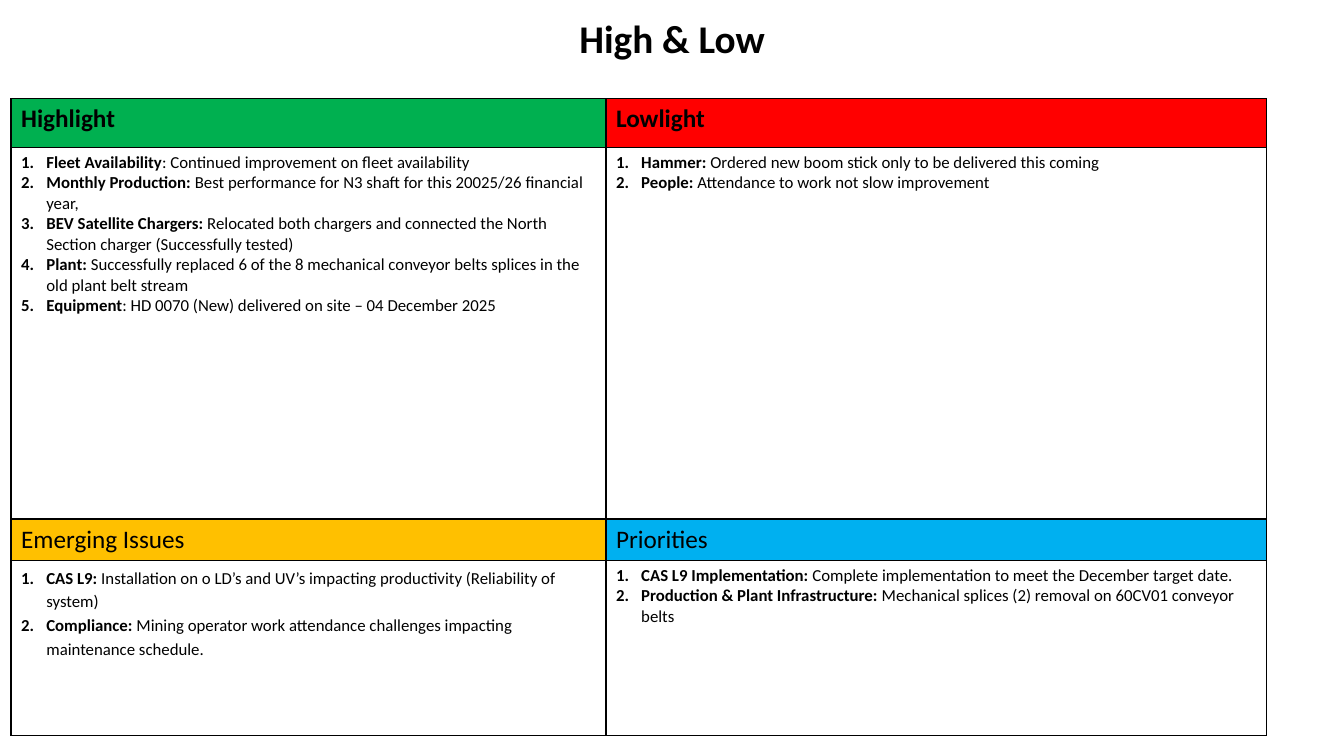
import pptx
import pptx.util
import pptx.dml.color
import pptx.enum.text
import lxml.etree

Inches, Pt = pptx.util.Inches, pptx.util.Pt
COLORS = {
    "text": "000000", "border": "000000", "body": "FFFFFF",
    "highlight": "00B050", "lowlight": "FF0000",
    "emerging": "FFC000", "priorities": "00B0F0",
}
COLUMN_WIDTHS = [5.9, 6.55]
ROW_HEIGHTS = [0.48, 3.69, 0.41, 1.74]

# Heading, heading colour, heading bold, line spacing, list of (label, detail)
QUADRANTS = [
    ("Highlight", "highlight", True, 1.0, [
        ("Fleet Availability", ": Continued improvement on fleet availability"),
        ("Monthly Production: ",
         "Best performance for N3 shaft for this 20025/26 financial year,"),
        ("BEV Satellite Chargers:",
         " Relocated both chargers and connected the North Section charger (Successfully tested)"),
        ("Plant: ",
         "Successfully replaced 6 of the 8 mechanical conveyor belts splices in the old plant belt stream"),
        ("Equipment", ": HD 0070 (New) delivered on site – 04 December 2025"),
    ]),
    ("Lowlight", "lowlight", True, 1.0, [
        ("Hammer: ", "Ordered new boom stick only to be delivered this coming"),
        ("People: ", "Attendance to work not slow improvement"),
    ]),
    ("Emerging Issues", "emerging", False, 1.15, [
        ("CAS L9: ",
         "Installation on o LD’s and UV’s impacting productivity (Reliability of system)"),
        ("Compliance: ",
         "Mining operator work attendance challenges impacting maintenance schedule."),
    ]),
    ("Priorities", "priorities", False, 1.0, [
        ("CAS L9 Implementation: ",
         "Complete implementation to meet the December target date."),
        ("Production & Plant Infrastructure: ",
         "Mechanical splices (2) removal on 60CV01 conveyor belts"),
    ]),
]


def add_run(paragraph, text, size, bold):
    run = paragraph.add_run()
    run.text = text
    for name, value in {"name": "Calibri", "size": Pt(size), "bold": bold}.items():
        setattr(run.font, name, value)
    run.font.color.rgb = pptx.dml.color.RGBColor.from_string(COLORS["text"])


def format_cell(cell, color):
    """Draw the four borders, then fill the cell; the schema wants this order."""
    properties = cell._tc.get_or_add_tcPr()
    for side in ("lnL", "lnR", "lnT", "lnB"):
        line = lxml.etree.SubElement(
            properties, pptx.oxml.ns.qn(f"a:{side}"), w=str(Pt(1)))
        solid = lxml.etree.SubElement(line, pptx.oxml.ns.qn("a:solidFill"))
        lxml.etree.SubElement(
            solid, pptx.oxml.ns.qn("a:srgbClr"), val=COLORS["border"])
    cell.fill.solid()
    cell.fill.fore_color.rgb = pptx.dml.color.RGBColor.from_string(COLORS[color])


presentation = pptx.Presentation()
presentation.slide_width = Inches(13.33)
presentation.slide_height = Inches(7.5)
slide = presentation.slides.add_slide(presentation.slide_layouts[5])

title = slide.shapes.title
title_box = {"left": 0, "top": Inches(0.09),
             "width": presentation.slide_width, "height": Inches(0.57)}
for name, value in title_box.items():
    setattr(title, name, value)
title.text_frame.vertical_anchor = pptx.enum.text.MSO_ANCHOR.TOP
title.text_frame.paragraphs[0].alignment = pptx.enum.text.PP_ALIGN.CENTER
add_run(title.text_frame.paragraphs[0], "High & Low", 28, True)

table = slide.shapes.add_table(
    len(ROW_HEIGHTS), len(COLUMN_WIDTHS), Inches(0.11), Inches(0.98),
    Inches(sum(COLUMN_WIDTHS)), Inches(sum(ROW_HEIGHTS))).table
table.first_row = table.horz_banding = False
for column, width in zip(table.columns, COLUMN_WIDTHS):
    column.width = Inches(width)
for row, height in zip(table.rows, ROW_HEIGHTS):
    row.height = Inches(height)

for index, (heading, color, bold, spacing, items) in enumerate(QUADRANTS):
    band, column_index = divmod(index, 2)
    heading_cell = table.cell(2 * band, column_index)
    format_cell(heading_cell, color)
    add_run(heading_cell.text_frame.paragraphs[0], heading, 18, bold)

    list_cell = table.cell(2 * band + 1, column_index)
    format_cell(list_cell, "body")
    for number, (label, detail) in enumerate(items):
        frame = list_cell.text_frame
        paragraph = frame.add_paragraph() if number else frame.paragraphs[0]
        paragraph.line_spacing = spacing
        properties = paragraph._p.get_or_add_pPr()
        properties.set("marL", str(Inches(0.25)))
        properties.set("indent", str(-Inches(0.25)))
        lxml.etree.SubElement(
            properties, pptx.oxml.ns.qn("a:buFont"), typeface="+mj-lt")
        lxml.etree.SubElement(
            properties, pptx.oxml.ns.qn("a:buAutoNum"), type="arabicPeriod")
        add_run(paragraph, label, 12, True)
        add_run(paragraph, detail, 12, False)

presentation.save("out.pptx")
